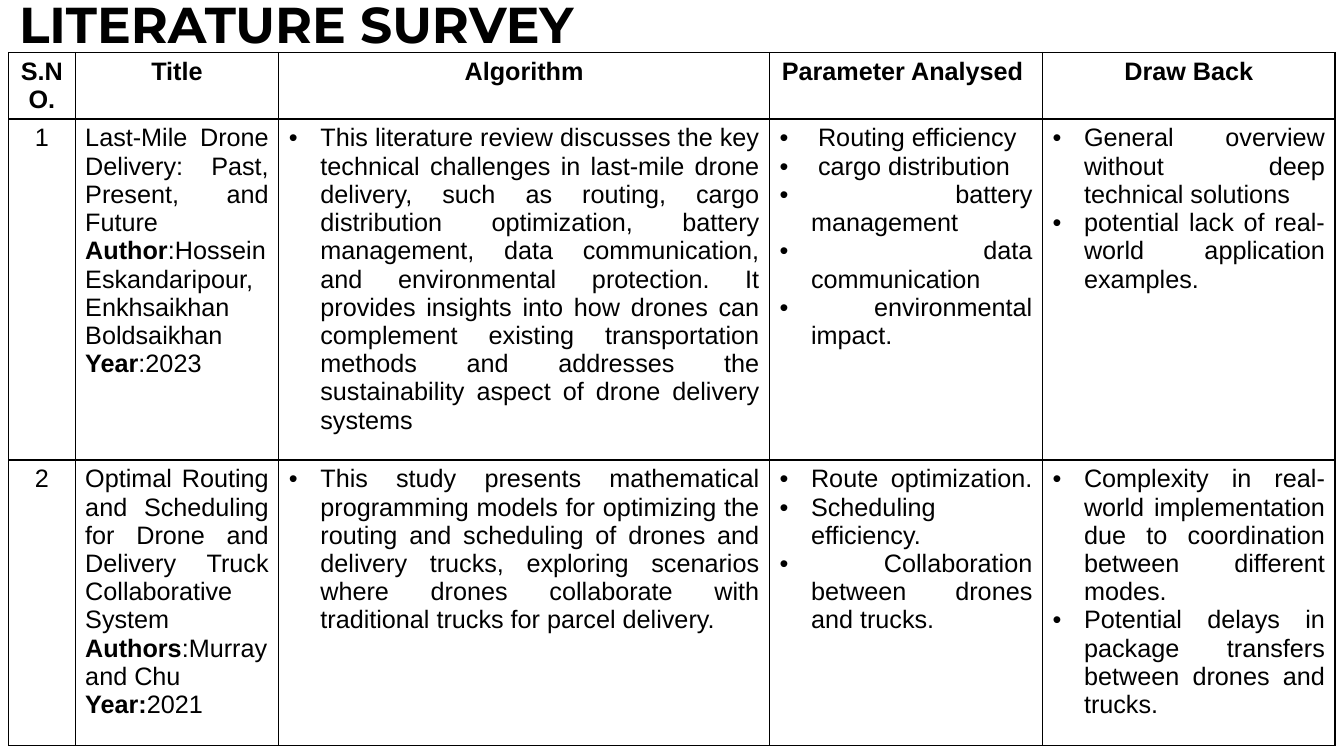
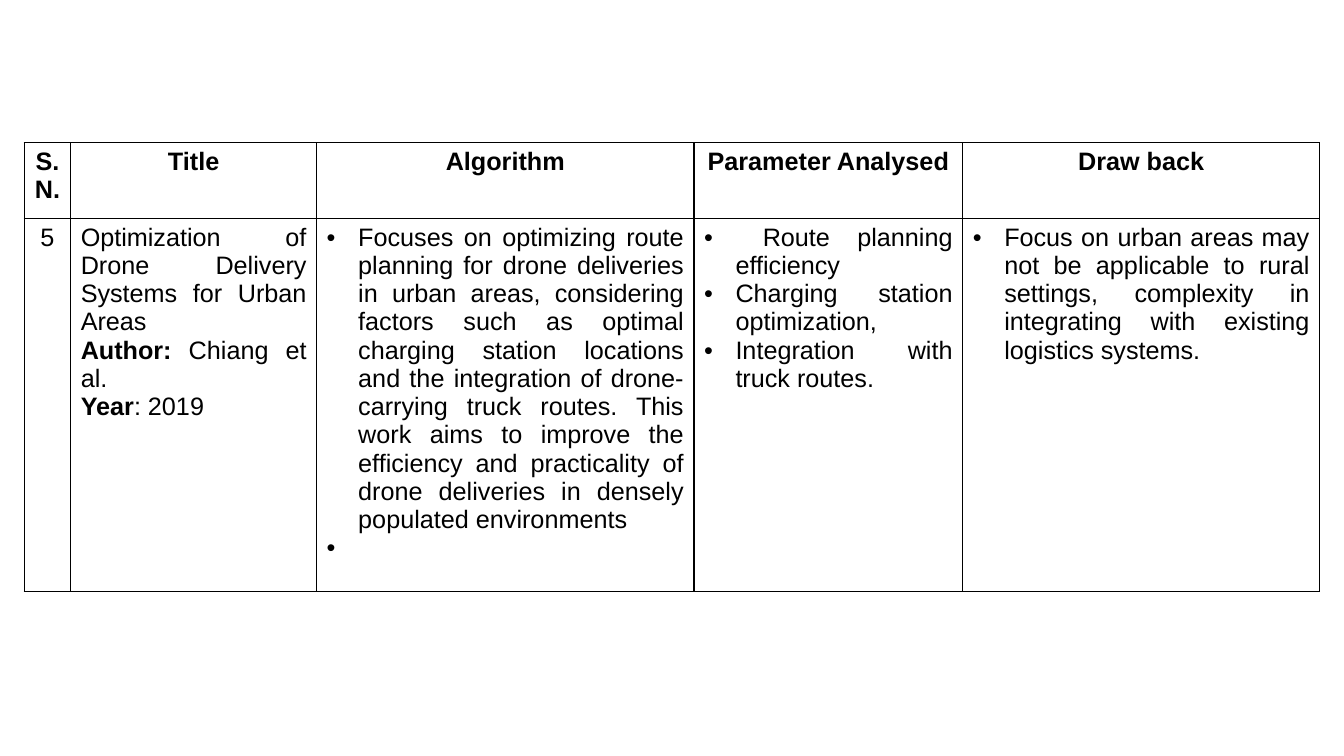
from lxml import etree
from pptx import Presentation
from pptx import util as u
from pptx.dml.color import RGBColor
from pptx.enum import text
from pptx.oxml import ns

Pt = u.Pt
BLACK = RGBColor(0x00, 0x00, 0x00)
WHITE = RGBColor(0xFF, 0xFF, 0xFF)
CENTER, JUSTIFY = text.PP_ALIGN.CENTER, text.PP_ALIGN.JUSTIFY
BULLET_INDENT = Pt(22.5)
BORDER_WIDTH = Pt(1)

TITLE_FORMAT = {"name": "Montserrat", "size": Pt(36), "bold": True}
HEAD_FORMAT = {"name": "Arial", "size": Pt(18), "bold": True}
BODY_FORMAT = {**HEAD_FORMAT, "bold": False}

# Each study: number, title with (label, value) credits, then three bullet lists
FIRST_STUDIES = [
    ("1",
     ["Last-Mile Drone Delivery: Past, Present, and Future",
      ("Author", ":Hossein Eskandaripour, Enkhsaikhan Boldsaikhan "),
      ("Year", ":2023")],
     ["This literature review discusses the key technical challenges in last-mile drone "
      "delivery, such as routing, cargo distribution optimization, battery management, "
      "data communication, and environmental protection. It provides insights into how "
      "drones can complement existing transportation methods and addresses the "
      "sustainability aspect of drone delivery systems"],
     [" Routing efficiency", " cargo distribution", " battery management",
      " data communication", " environmental impact."],
     ["General overview without deep technical solutions ",
      "potential lack of real-world application examples."]),
    ("2",
     ["Optimal Routing and Scheduling for Drone and Delivery Truck Collaborative System",
      ("Authors", ":Murray and Chu"),
      ("Year:", "2021")],
     ["This study presents mathematical programming models for optimizing the routing and "
      "scheduling of drones and delivery trucks, exploring scenarios where drones "
      "collaborate with traditional trucks for parcel delivery."],
     ["Route optimization. ", "Scheduling efficiency.",
      " Collaboration between drones and trucks."],
     ["Complexity in real-world implementation due to coordination between different modes.",
      "Potential delays in package transfers between drones and trucks."]),
]
LAST_STUDIES = [
    ("5",
     ["Optimization of Drone Delivery Systems for Urban Areas",
      ("Author: ", "Chiang et al."),
      ("Year", ": 2019")],
     ["Focuses on optimizing route planning for drone deliveries in urban areas, "
      "considering factors such as optimal charging station locations and the integration "
      "of drone-carrying truck routes. This work aims to improve the efficiency and "
      "practicality of drone deliveries in densely populated environments",
      " "],
     [" Route planning efficiency", "Charging station optimization,",
      "Integration with truck routes."],
     ["Focus on urban areas may not be applicable to rural settings, complexity in "
      "integrating with existing logistics systems."]),
]


def add_span(para, words, formats):
    span = para.add_run()
    span.text = words
    for name, value in formats.items():
        setattr(span.font, name, value)
    span.font.color.rgb = BLACK


def add_bullet(para):
    properties = para._p.get_or_add_pPr()
    properties.set("marL", str(BULLET_INDENT))
    properties.set("indent", str(-BULLET_INDENT))
    etree.SubElement(properties, ns.qn("a:buFont"), typeface="Arial")
    etree.SubElement(properties, ns.qn("a:buChar"), char="•")


def style_cell(cell):
    """White cell with a thin black border on every side."""
    cell.fill.solid()
    cell.fill.fore_color.rgb = WHITE
    properties = cell._tc.get_or_add_tcPr()
    for index, side in enumerate(("lnL", "lnR", "lnT", "lnB")):
        line = etree.Element(ns.qn(f"a:{side}"), w=str(BORDER_WIDTH))
        fill = etree.SubElement(line, ns.qn("a:solidFill"))
        etree.SubElement(fill, ns.qn("a:srgbClr"), val=str(BLACK))
        properties.insert(index, line)


def fill_cell(cell, items, alignment, formats, bulleted=False):
    """One paragraph per item; a (label, value) item gets a bold label."""
    style_cell(cell)
    frame = cell.text_frame
    for index, item in enumerate(items):
        para = frame.add_paragraph() if index else frame.paragraphs[0]
        para.alignment = alignment
        if bulleted:
            add_bullet(para)
        if isinstance(item, tuple):
            label, item = item
            add_span(para, label, HEAD_FORMAT)
        add_span(para, item, formats)


def add_survey_table(page, left, top, widths, heights, headings, studies):
    box = page.shapes.add_table(len(heights), len(widths), Pt(left), Pt(top),
                                Pt(sum(widths)), Pt(sum(heights)))
    table = box.table
    table.horz_banding = False
    for column, width in zip(table.columns, widths):
        column.width = Pt(width)
    for row, height in zip(table.rows, heights):
        row.height = Pt(height)

    # Header row
    for cell, heading in zip(table.rows[0].cells, headings):
        fill_cell(cell, [heading], CENTER, HEAD_FORMAT)

    # One row per study
    for index, (number, title, *bullet_lists) in enumerate(studies, 1):
        fill_cell(table.cell(index, 0), [number], CENTER, BODY_FORMAT)
        fill_cell(table.cell(index, 1), title, JUSTIFY, BODY_FORMAT)
        for column, items in enumerate(bullet_lists, 2):
            fill_cell(table.cell(index, column), items, JUSTIFY, BODY_FORMAT, bulleted=True)


def add_title(page, words, left, top, width, height):
    box = page.shapes.add_textbox(Pt(left), Pt(top), Pt(width), Pt(height))
    frame = box.text_frame
    frame.word_wrap = True
    frame.vertical_anchor = text.MSO_ANCHOR.MIDDLE
    para = frame.paragraphs[0]
    para.line_spacing = 0.9
    add_span(para, words, TITLE_FORMAT)


def main():
    deck = Presentation()
    deck.slide_width, deck.slide_height = Pt(960), Pt(540)
    blank = deck.slide_layouts[6]

    # Slide 1: titled survey table
    page = deck.slides.add_slide(blank)
    add_survey_table(page, 6.2, 37.5, [47.5, 145.5, 350.5, 195, 209], [46.5, 243.5, 204],
                     ["S.NO.", "Title", "Algorithm", "Parameter Analysed ", "Draw Back"],
                     FIRST_STUDIES)
    add_title(page, "LITERATURE SURVEY", 6.5, -9.4, 821, 57)

    # Slide 2: survey table continued
    page = deck.slides.add_slide(blank)
    add_survey_table(page, 17.3, 102, [33.2, 175.7, 269.5, 192, 255], [54, 249.5],
                     ["S.N.", "Title", "Algorithm", "Parameter Analysed", "Draw back"],
                     LAST_STUDIES)

    deck.save("out.pptx")


if __name__ == "__main__":
    main()
